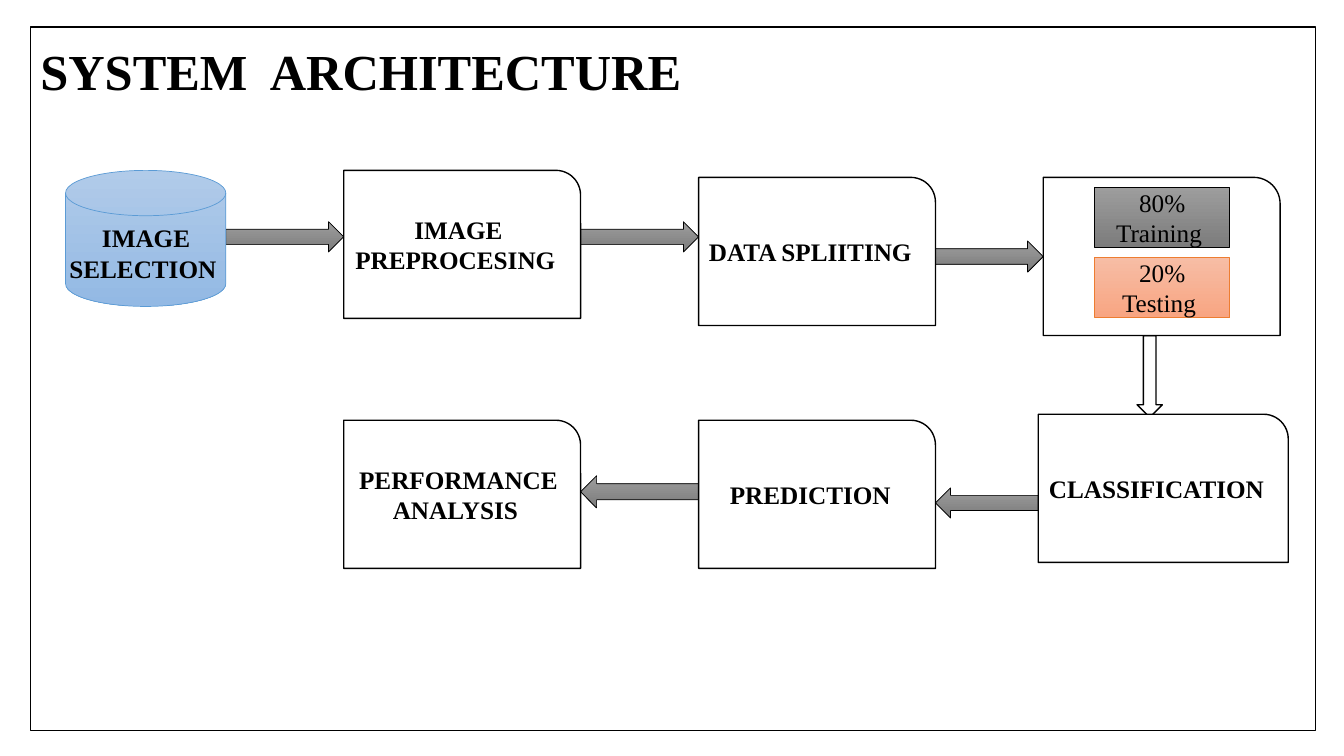
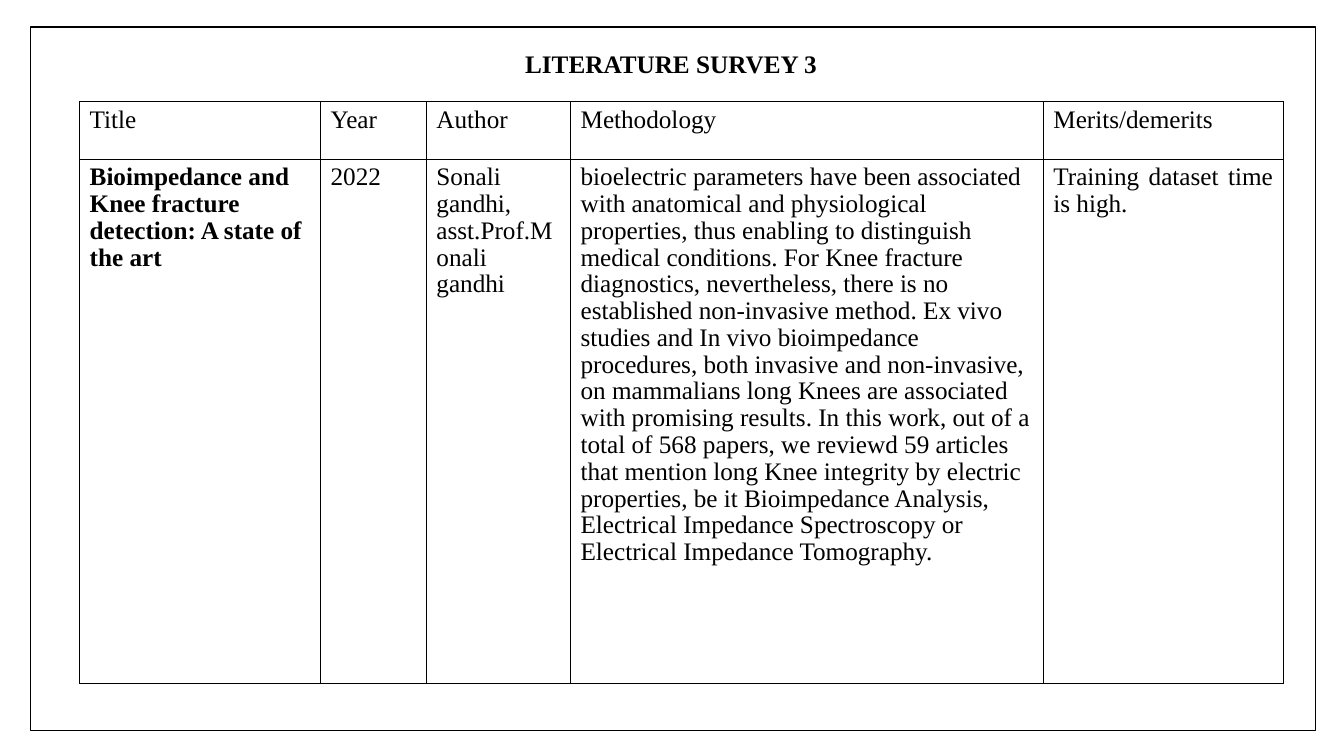
from lxml import etree
from pptx import Presentation
from pptx.dml.color import RGBColor
from pptx.enum.shapes import MSO_SHAPE
from pptx.enum.text import MSO_ANCHOR, MSO_AUTO_SIZE, PP_ALIGN
from pptx.oxml.ns import qn
from pptx.util import Pt

RECT = MSO_SHAPE.RECTANGLE
CARD = MSO_SHAPE.ROUND_1_RECTANGLE
DISK = MSO_SHAPE.FLOWCHART_MAGNETIC_DISK
RIGHT, LEFT, DOWN = MSO_SHAPE.RIGHT_ARROW, MSO_SHAPE.LEFT_ARROW, MSO_SHAPE.DOWN_ARROW
TOP, MIDDLE = MSO_ANCHOR.TOP, MSO_ANCHOR.MIDDLE
ALIGN_LEFT, CENTER, JUSTIFY = PP_ALIGN.LEFT, PP_ALIGN.CENTER, PP_ALIGN.JUSTIFY
NO_AUTOFIT = MSO_AUTO_SIZE.NONE

FONT = "Times New Roman"
BODY_SIZE = 18
COLORS = {
    "ink": "000000", "paper": "FFFFFF",
    "blue_top": "B1CBE9", "blue_bottom": "93B9E4", "blue_line": "5B9BD5",
    "gray_top": "9D9D9D", "gray_bottom": "7C7C7C",
    "orange_top": "F7BDA5", "orange_bottom": "F8A582", "orange_line": "ED7D31",
}
GRAY = ("gray_top", "gray_bottom")
BLUE = ("blue_top", "blue_bottom")
ORANGE = ("orange_top", "orange_bottom")

# Flow stages: left, top, width, height
CARD_W, CARD_H = 169.2, 105.8
COLUMNS = (245.5, 499, 745.2)
STAGES = {
    "selection": (46.8, 121.7, 114.5, 97.2),
    "preprocessing": (COLUMNS[0], 121.7, CARD_W, CARD_H),
    "splitting": (COLUMNS[1], 126.7, CARD_W, CARD_H),
    "subsets": (COLUMNS[2], 126.7, CARD_W, 113),
    "classification": (741.6, 295.9, 178.6, CARD_H),
    "prediction": (COLUMNS[1], 300.2, CARD_W, CARD_H),
    "performance": (COLUMNS[0], 300.2, CARD_W, CARD_H),
}
CARD_TEXTS = {
    "preprocessing": "IMAGE PREPROCESING ",
    "splitting": "DATA SPLIITING ",
    "subsets": "",
    "classification": "CLASSIFICATION ",
    "prediction": "PREDICTION ",
    "performance": "PERFORMANCE ANALYSIS ",
}
# Source stage, target stage, top, height
FLOW = (
    ("selection", "preprocessing", 158.4, 21.6),
    ("preprocessing", "splitting", 158.4, 21.6),
    ("splitting", "subsets", 172.1, 22.3),
    ("classification", "prediction", 348.5, 21.6),
    ("prediction", "performance", 339.8, 23),
)
SUBSETS = (
    ("80% Training ", GRAY, "ink"),
    ("20% Testing ", ORANGE, "orange_line"),
)

SURVEY_COLUMNS = (172.1, 75.6, 103, 337.7, 171.3)
SURVEY_ROWS = (41, 374.4)
HEADINGS = ("Title", "Year", "Author", "Methodology", "Merits/demerits")
PAPER = (
    "Bioimpedance and Knee fracture detection: A state of the art",
    "2022",
    "Sonali gandhi, asst.Prof.Monali gandhi",
    "bioelectric parameters have been associated with anatomical and physiological "
    "properties, thus enabling to distinguish medical conditions. For Knee fracture "
    "diagnostics, nevertheless, there is no established non-invasive method. Ex vivo "
    "studies and In vivo bioimpedance procedures, both invasive and non-invasive, on "
    "mammalians long Knees are associated with promising results. In this work, out of "
    "a total of 568 papers, we reviewd 59 articles that mention long Knee integrity by "
    "electric properties, be it Bioimpedance Analysis, Electrical Impedance "
    "Spectroscopy or Electrical Impedance Tomography.",
    "Training dataset time is high.",
)
RAGGED_COLUMNS = (0, 3)


def rgb(name):
    return RGBColor.from_string(COLORS[name])


def points(box):
    return [Pt(value) for value in box]


def write(frame, text, size=BODY_SIZE, bold=False, align=CENTER, spacing=1.0):
    paragraph = frame.paragraphs[0]
    paragraph.alignment = align
    paragraph.line_spacing = spacing
    run = paragraph.add_run()
    run.text = text
    run.font.name = FONT
    run.font.size = Pt(size)
    run.font.bold = bold
    run.font.color.rgb = rgb("ink")


def add_block(slide, kind, box, fill=None, line="ink", weight=1, text="", bold=False):
    """Preset shape; fill is a colour name, a gradient pair or None."""
    block = slide.shapes.add_shape(kind, *points(box))
    block.shadow.inherit = False
    block.line.color.rgb = rgb(line)
    block.line.width = Pt(weight)
    if fill is None:
        block.fill.background()
    elif isinstance(fill, tuple):
        block.fill.gradient()
        block.fill.gradient_angle = 270
        for stop, name in zip(block.fill.gradient_stops, fill):
            stop.color.rgb = rgb(name)
    else:
        block.fill.solid()
        block.fill.fore_color.rgb = rgb(fill)
    if text:
        block.text_frame.vertical_anchor = MIDDLE
        write(block.text_frame, text, bold=bold)


def add_flow_arrow(slide, source, target, top, height):
    """Arrow across the gap between two neighbouring stages."""
    first, second = sorted((STAGES[source], STAGES[target]))
    start = first[0] + first[2]
    kind = RIGHT if first == STAGES[source] else LEFT
    add_block(slide, kind, (start, top, second[0] - start, height), GRAY, weight=0.5)


def add_framed_slide(prs, title, box, size, wrap, margin_top=3.6, spacing=1.0):
    """Title-only slide with the outer frame that all slides share."""
    slide = prs.slides.add_slide(prs.slide_layouts[5])
    heading = slide.shapes.title
    heading.left, heading.top, heading.width, heading.height = points(box)
    frame = heading.text_frame
    frame.auto_size = NO_AUTOFIT
    frame.word_wrap = wrap
    frame.vertical_anchor = TOP
    frame.margin_top = Pt(margin_top)
    write(frame, title, size, True, ALIGN_LEFT, spacing)
    add_block(slide, RECT, (21.6, 19.4, 918, 502.6))
    return slide


def add_cell_borders(cell):
    properties = cell._tc.get_or_add_tcPr()
    for side in ("a:lnL", "a:lnR", "a:lnT", "a:lnB"):
        border = etree.SubElement(properties, qn(side), w=str(Pt(1)))
        fill = etree.SubElement(border, qn("a:solidFill"))
        etree.SubElement(fill, qn("a:srgbClr"), val=COLORS["ink"])


def add_survey_table(slide, left, top):
    size = (sum(SURVEY_COLUMNS), sum(SURVEY_ROWS))
    table = slide.shapes.add_table(
        len(SURVEY_ROWS), len(SURVEY_COLUMNS), *points((left, top, *size))).table
    table.first_row = table.horz_banding = False
    for column, width in zip(table.columns, SURVEY_COLUMNS):
        column.width = Pt(width)
    for row, height in zip(table.rows, SURVEY_ROWS):
        row.height = Pt(height)
    for r, texts in enumerate((HEADINGS, PAPER)):
        for c, text in enumerate(texts):
            cell = table.cell(r, c)
            add_cell_borders(cell)
            cell.fill.background()
            align = ALIGN_LEFT if r and c in RAGGED_COLUMNS else JUSTIFY
            write(cell.text_frame, text, bold=(r, c) == (1, 0), align=align, spacing=0.96)


def build_architecture(prs):
    slide = add_framed_slide(prs, "SYSTEM  ARCHITECTURE", (21.6, 19.4, 839.5, 103),
                             36, True, margin_top=14, spacing=0.9)
    # Arrows lie under the cards
    for step in FLOW:
        add_flow_arrow(slide, *step)
    add_block(slide, DOWN, (812.2, 239.8, 18, 58.3), "paper")

    # Image store and its label
    add_block(slide, DISK, STAGES["selection"], BLUE, "blue_line", 0.5)
    label = slide.shapes.add_textbox(*points((41, 155.5, 126.7, 72.7)))
    label.text_frame.word_wrap = True
    write(label.text_frame, "IMAGE SELECTION ", bold=True)

    # Processing stages
    for stage, text in CARD_TEXTS.items():
        add_block(slide, CARD, STAGES[stage], "paper", text=text, bold=True)

    # Training and testing shares
    for i, (text, fill, line) in enumerate(SUBSETS):
        add_block(slide, RECT, (781.9, 133.9 + i * 50.2, 96.5, 42.8),
                  fill, line, 0.5, text)


def build_survey(prs):
    slide = add_framed_slide(prs, "LITERATURE SURVEY 3", (367.9, 31, 224.6, 28.8),
                             BODY_SIZE, False)
    add_survey_table(slide, 56.9, 72.7)


def main():
    prs = Presentation()
    prs.slide_width, prs.slide_height = Pt(960), Pt(540)
    build_architecture(prs)
    build_survey(prs)
    prs.save("out.pptx")


if __name__ == "__main__":
    main()
